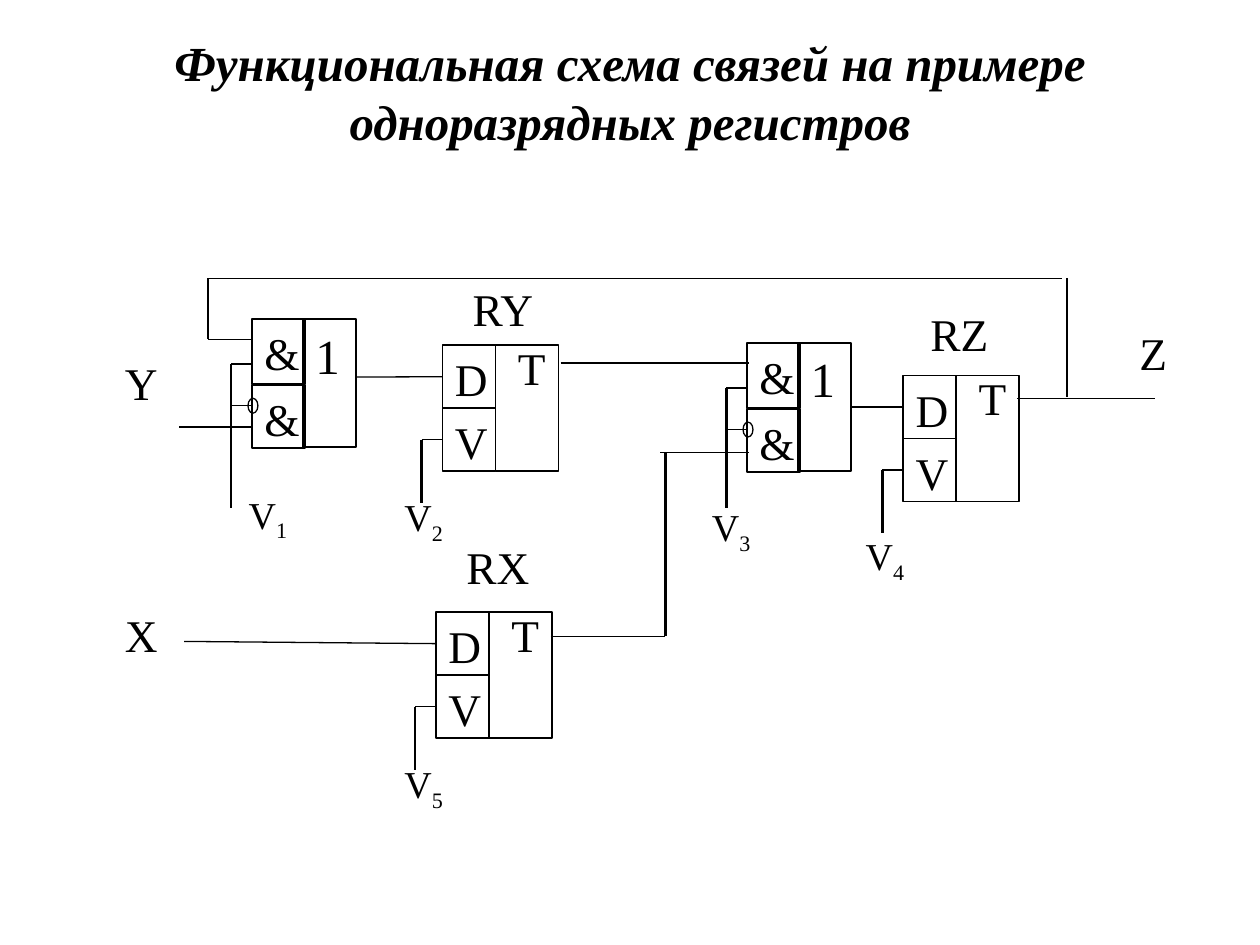
from lxml.etree import SubElement
from pptx import Presentation
from pptx.dml.color import RGBColor
from pptx.enum.shapes import MSO_CONNECTOR, MSO_SHAPE
from pptx.enum.text import MSO_ANCHOR, MSO_AUTO_SIZE, PP_ALIGN
from pptx.oxml.ns import qn
from pptx.util import Cm, Pt

BLACK = RGBColor(0x00, 0x00, 0x00)
FONT = "Times New Roman"
THIN, THICK = 0.75, 1.5
CELL_W, CELL_H = 1.07, 1.27
LABEL_W, LABEL_H = 1.9, 1.37

prs = Presentation()
prs.slide_width, prs.slide_height = Cm(25.4), Cm(19.05)
slide = prs.slides.add_slide(prs.slide_layouts[5])


def outline(kind, x, y, w, h, weight=1):
    figure = slide.shapes.add_shape(kind, Cm(x), Cm(y), Cm(w), Cm(h))
    figure.shadow.inherit = False
    figure.fill.background()
    figure.line.color.rgb = BLACK
    figure.line.width = Pt(weight)
    return figure


def wire(x1, y1, x2, y2, weight=THIN):
    line = slide.shapes.add_connector(MSO_CONNECTOR.STRAIGHT, Cm(x1), Cm(y1), Cm(x2), Cm(y2))
    line.line.color.rgb = BLACK
    line.line.width = Pt(weight)
    SubElement(line._element.spPr, qn("a:effectLst"))
    return line


title = slide.shapes.title
title.left, title.top, title.width, title.height = Cm(1.9), Cm(0.64), Cm(21.6), Cm(2.39)
heading = title.text_frame
heading.text = "Функциональная схема связей на примере одноразрядных регистров"
heading.word_wrap = True
heading.auto_size = MSO_AUTO_SIZE.NONE
heading.vertical_anchor = MSO_ANCHOR.MIDDLE
heading.paragraphs[0].alignment = PP_ALIGN.CENTER
heading_font = heading.paragraphs[0].runs[0].font
heading_font.name, heading_font.size = FONT, Pt(28)
heading_font.bold = heading_font.italic = True
heading_font.color.rgb = BLACK

symbols = []
data_inputs = {}
for register, x, y in [("RY", 8.92, 6.96), ("RZ", 18.21, 7.57), ("RX", 8.79, 12.34)]:
    data_inputs[register] = outline(MSO_SHAPE.RECTANGLE, x, y, CELL_W, CELL_H)
    strobe = outline(MSO_SHAPE.RECTANGLE, x, y + CELL_H, CELL_W, CELL_H)
    outline(MSO_SHAPE.RECTANGLE, x + CELL_W, y, 1.27, 2 * CELL_H)
    symbols += [("D", x, y, 25.9), ("V", x, y + CELL_H, 25.9), ("T", x + 1.27, y - 0.23, 25.9)]
    strobe_y = y + 1.5 * CELL_H
    wire(x - 0.42, strobe_y, x, strobe_y).end_connect(strobe, 1)
    wire(x - 0.42, strobe_y, x - 0.42, strobe_y + 1.27, THICK)

selectors = []
for x, y in [(5.08, 6.43), (15.06, 6.91)]:
    selectors.append(outline(MSO_SHAPE.RECTANGLE, x + 1.03, y, CELL_W, 2.59))
    outline(MSO_SHAPE.RECTANGLE, x, y, CELL_W, 1.32)
    outline(MSO_SHAPE.RECTANGLE, x, y + 1.33, CELL_W, CELL_H)
    symbols += [("&", x, y, 25.9), ("&", x, y + 1.33, 25.9), ("1", x + 1.03, y, 28)]
    for control_y in (y + 0.91, y + 1.75):
        wire(x - 0.42, control_y, x, control_y)
    wire(x - 0.42, y + 0.91, x - 0.42, 10.24, THICK)
    outline(MSO_SHAPE.OVAL, x - 0.08, y + 1.6, 0.2, 0.3, THIN)

wire(7.19, 7.6, 8.92, 7.6).end_connect(data_inputs["RY"], 1)
wire(3.71, 12.93, 8.79, 12.98).end_connect(data_inputs["RX"], 1)
rz_feed = wire(17.16, 8.2, 18.21, 8.2)
rz_feed.begin_connect(selectors[1], 3)
rz_feed.end_connect(data_inputs["RZ"], 1)

for x1, y1, x2, y2, weight in [
    (20.5, 8.03, 23.29, 8.03, THIN),
    (21.51, 5.61, 21.51, 8.0, THICK),
    (4.19, 5.61, 21.41, 5.61, THIN),
    (4.19, 5.61, 4.19, 6.84, THICK),
    (4.19, 6.84, 5.08, 6.84, THIN),
    (3.61, 8.61, 5.08, 8.61, THIN),
    (11.3, 7.32, 15.09, 7.32, THIN),
    (11.1, 12.83, 13.41, 12.83, THIN),
    (13.41, 9.12, 13.41, 12.83, THICK),
    (13.31, 9.12, 15.09, 9.12, THIN),
]:
    wire(x1, y1, x2, y2, weight)

labels = [(text, "", x, y, size, PP_ALIGN.LEFT) for text, x, y, size in symbols]
labels += [(text, "", x, y, 25.9, PP_ALIGN.CENTER) for text, x, y in [
    ("Y", 1.9, 7.04), ("X", 1.9, 12.12), ("Z", 22.3, 6.43),
    ("RY", 9.19, 5.54), ("RZ", 18.39, 6.05), ("RX", 9.09, 10.74)]]
labels += [("V", index, x, y, 21.7, PP_ALIGN.CENTER) for index, x, y in [
    ("1", 4.45, 9.78), ("2", 7.59, 9.83), ("3", 13.79, 10.03),
    ("4", 16.89, 10.62), ("5", 7.59, 15.21)]]

for text, index, x, y, size, alignment in labels:
    frame = slide.shapes.add_textbox(Cm(x), Cm(y), Cm(LABEL_W), Cm(LABEL_H)).text_frame
    frame.word_wrap = True
    frame.text = text
    caption = frame.paragraphs[0]
    caption.alignment = alignment
    if index:
        subscript = caption.add_run()
        subscript.text = index
        subscript.font._element.set("baseline", "-25000")
    for run in caption.runs:
        run.font.name, run.font.size = FONT, Pt(size)
        run.font.color.rgb = BLACK

prs.save("out.pptx")
